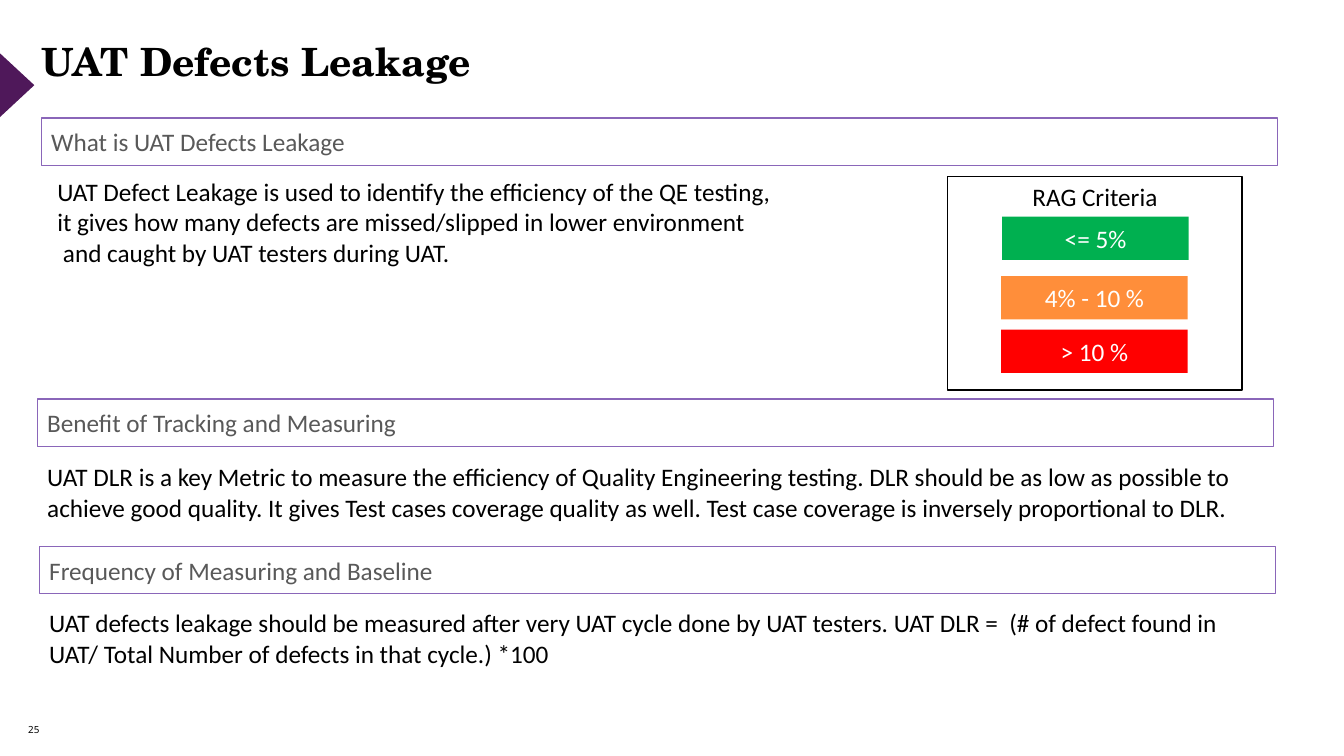
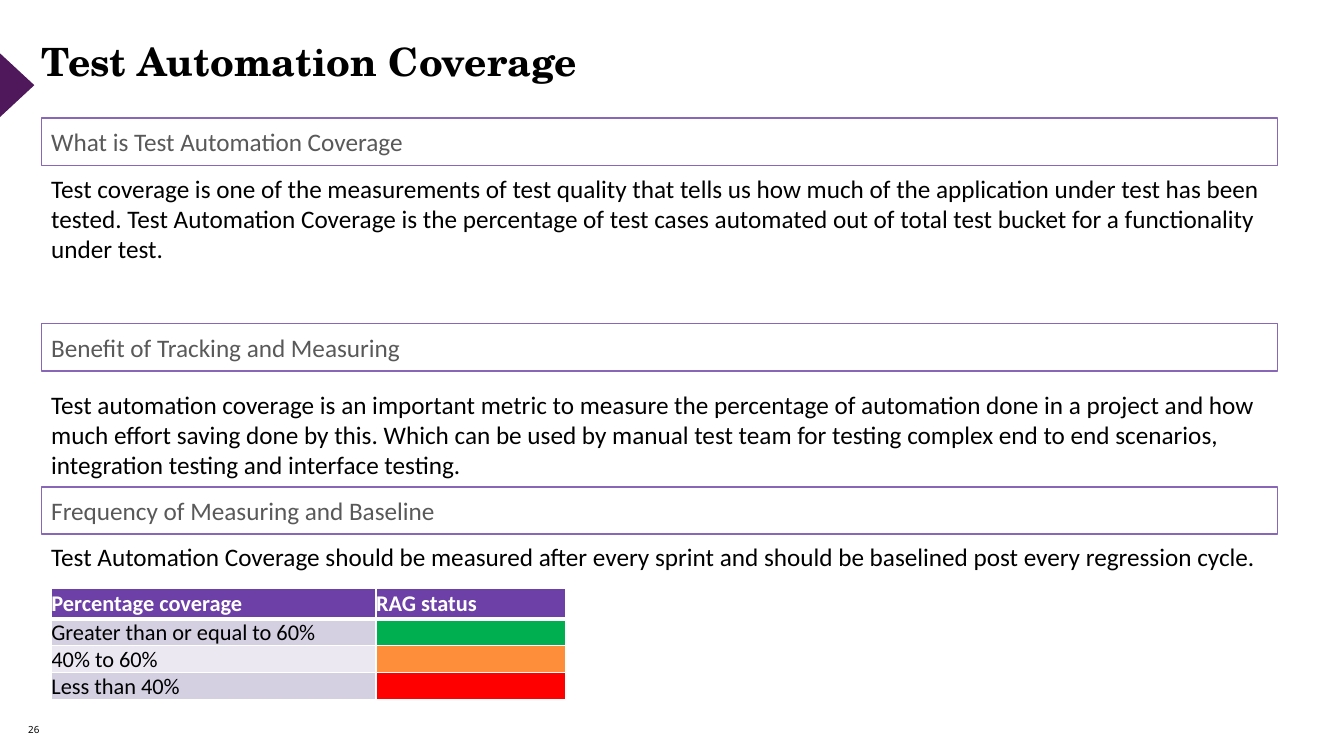
from dataclasses import dataclass

from lxml.etree import SubElement
from pptx import Presentation
from pptx.dml.color import RGBColor
from pptx.enum.shapes import MSO_SHAPE
from pptx.enum.text import MSO_ANCHOR, PP_ALIGN
from pptx.oxml.ns import qn
from pptx.util import Inches, Pt


@dataclass(frozen=True)
class Theme:
    black: str = "000000"
    white: str = "FFFFFF"
    marker: str = "4F185A"
    heading: str = "595959"
    outline: str = "8A66B9"
    table_header: str = "6D40A7"
    bands: tuple = ("D4CFE1", "EBE8F1")
    rag: tuple = ("00B050", "FF8E3A", "FF0000")
    title_font: str = "TeX Gyre Schola"
    body_font: str = "Calibri"
    number_font: str = "Noto Sans"
    title_size: float = 27.8
    title_gap_size: float = 29.6
    body_size: float = 18
    table_size: float = 16
    number_size: float = 7


class Deck:
    def __init__(self, theme):
        self.theme = theme
        self.prs = Presentation()
        self.prs.slide_width, self.prs.slide_height = Inches(13.33), Inches(7.5)
        self.slide = None

    def start_slide(self, title, number):
        theme = self.theme
        self.slide = self.prs.slides.add_slide(self.prs.slide_layouts[6])
        marker = self.shape((-0.16, 0.67, 0.65, 0.35), theme.marker,
                            kind=MSO_SHAPE.ISOSCELES_TRIANGLE)
        marker.rotation = 90
        footer = self.text_frame((0.28, 7.04, 0.45, 0.4), margin=0)
        footer.vertical_anchor = MSO_ANCHOR.MIDDLE
        self.add_text(footer.paragraphs[0], str(number),
                      size=theme.number_size, name=theme.number_font)
        self.title(title)

    def title(self, title):
        """Bold words joined by slightly larger regular spaces."""
        theme = self.theme
        frame = self.text_frame((0.41, 0.4, 10.78, 0.47), margin=0, wrap=False)
        line = frame.paragraphs[0]
        line.line_spacing = 0.9
        for index, word in enumerate(title.split()):
            if index:
                self.add_text(line, " ", size=theme.title_gap_size, name=theme.title_font)
            self.add_text(line, word, size=theme.title_size, name=theme.title_font, bold=True)

    def add_text(self, paragraph, text, color=None, **font_format):
        run = paragraph.add_run()
        run.text = text
        defaults = {"name": self.theme.body_font, "size": self.theme.body_size, "bold": False}
        for attribute, value in (defaults | font_format).items():
            setattr(run.font, attribute, Pt(value) if attribute == "size" else value)
        run.font.color.rgb = RGBColor.from_string(color or self.theme.black)

    def text_frame(self, box, margin=None, wrap=True):
        frame = self.slide.shapes.add_textbox(*map(Inches, box)).text_frame
        frame.word_wrap = wrap
        if margin is not None:
            self.set_margins(frame, margin)
        return frame

    def set_margins(self, holder, margin):
        for side in ("left", "top", "right", "bottom"):
            setattr(holder, f"margin_{side}", Inches(margin))

    def shape(self, box, fill=None, line=None, kind=MSO_SHAPE.RECTANGLE):
        shape = self.slide.shapes.add_shape(kind, *map(Inches, box))
        shape.shadow.inherit = False
        if fill:
            shape.fill.solid()
            shape.fill.fore_color.rgb = RGBColor.from_string(fill)
        else:
            shape.fill.background()
        if line:
            shape.line.color.rgb = RGBColor.from_string(line)
            shape.line.width = Pt(1)
        else:
            shape.line.fill.background()
        return shape

    def label(self, shape, text, color, align=PP_ALIGN.CENTER, anchor=MSO_ANCHOR.MIDDLE):
        shape.text_frame.vertical_anchor = anchor
        paragraph = shape.text_frame.paragraphs[0]
        paragraph.alignment = align
        self.add_text(paragraph, text, color)

    def heading(self, left, top, text):
        bar = self.shape((left, top, 12.26, 0.47), self.theme.white, self.theme.outline)
        self.label(bar, text, self.theme.heading, PP_ALIGN.LEFT)

    def body(self, left, top, height, *lines):
        frame = self.text_frame((left, top, 12.26, height))
        for index, line in enumerate(lines):
            paragraph = frame.add_paragraph() if index else frame.paragraphs[0]
            self.add_text(paragraph, line)

    def rag_legend(self, title, entries):
        """entries: (left, top, text) for green, amber and red."""
        panel = self.shape((9.4, 1.75, 2.92, 2.12), line=self.theme.black)
        self.label(panel, title, self.theme.black, anchor=MSO_ANCHOR.TOP)
        for (left, top, text), color in zip(entries, self.theme.rag):
            self.label(self.shape((left, top, 1.85, 0.43), color), text, self.theme.white)

    def rag_table(self, headers, ranges):
        theme = self.theme
        grid = self.slide.shapes.add_table(
            len(ranges) + 1, len(headers), *map(Inches, (0.51, 5.84, 5.1, 1.05))).table
        for column, width in zip(grid.columns, (3.22, 1.88)):
            column.width = Inches(width)
        for index, row in enumerate(grid.rows):
            row.height = Inches(0.25 if index else 0.3)
        for cell, text in zip(grid.rows[0].cells, headers):
            self.cell(cell, text, theme.table_header, theme.white, bold=True, bottom=3)
        for index, text in enumerate(ranges):
            range_cell, status_cell = grid.rows[index + 1].cells
            top = 1 if index else 3
            self.cell(range_cell, text, theme.bands[index % 2], theme.black, top=top)
            self.cell(status_cell, "", theme.rag[index], theme.black, top=top)

    def cell(self, cell, text, fill, color, bold=False, top=1, bottom=1):
        self.set_margins(cell, 0)
        cell.vertical_anchor = MSO_ANCHOR.MIDDLE
        paragraph = cell.text_frame.paragraphs[0]
        size = self.theme.table_size
        if text:
            self.add_text(paragraph, text, color, size=size, bold=bold)
        else:
            SubElement(paragraph._p, qn("a:endParaRPr"), sz=str(size * 100))
        properties = cell._tc.get_or_add_tcPr()
        for side, width in {"L": 1, "R": 1, "T": top, "B": bottom}.items():
            border = SubElement(properties, qn(f"a:ln{side}"), w=str(Pt(width)))
            solid = SubElement(border, qn("a:solidFill"))
            SubElement(solid, qn("a:srgbClr"), val=self.theme.white)
        cell.fill.solid()
        cell.fill.fore_color.rgb = RGBColor.from_string(fill)


BENEFIT = "Benefit of Tracking and Measuring"
FREQUENCY = "Frequency of Measuring and Baseline"


def add_defects_leakage(deck):
    deck.start_slide("UAT Defects Leakage", 25)
    deck.heading(0.41, 1.17, "What is UAT Defects Leakage")
    deck.heading(0.37, 3.96, BENEFIT)
    deck.heading(0.39, 5.42, FREQUENCY)
    deck.body(0.47, 1.7, 2.22,
              "UAT Defect Leakage is used to identify the efficiency of the QE testing,",
              "it gives how many defects are missed/slipped in lower environment",
              " and caught by UAT testers during UAT.")
    deck.body(0.37, 4.53, 1.01,
              "UAT DLR is a key Metric to measure the efficiency of Quality Engineering "
              "testing. DLR should be as low as possible to achieve good quality. It gives "
              "Test cases coverage quality as well. Test case coverage is inversely "
              "proportional to DLR.")
    deck.body(0.39, 5.98, 1.01,
              "UAT defects leakage should be measured after very UAT cycle done by UAT "
              "testers. UAT DLR =  (# of defect found in UAT/ Total Number of defects in "
              "that cycle.) *100")
    deck.rag_legend("RAG Criteria", [(9.94, 2.15, "<= 5%"),
                                     (9.93, 2.74, "4% - 10 %"),
                                     (9.93, 3.27, "> 10 %")])


def add_automation_coverage(deck):
    deck.start_slide("Test Automation Coverage", 26)
    for top, text in ((1.17, "What is Test Automation Coverage"),
                      (3.21, BENEFIT), (4.83, FREQUENCY)):
        deck.heading(0.41, top, text)
    deck.body(0.41, 1.67, 1.01,
              "Test coverage is one of the measurements of test quality that tells us how "
              "much of the application under test has been tested. Test Automation Coverage "
              "is the percentage of test cases automated out of total test bucket for a "
              "functionality under test.")
    deck.body(0.41, 3.81, 1.01,
              "Test automation coverage is an important metric to measure the percentage of "
              "automation done in a project and how much effort saving done by this. Which "
              "can be used by manual test team for testing complex end to end scenarios, "
              "integration testing and interface testing.")
    deck.body(0.41, 5.32, 0.4,
              "Test Automation Coverage should be measured after every sprint and should be "
              "baselined post every regression cycle.")
    deck.rag_table(("Percentage coverage", "RAG status"),
                   ("Greater than or equal to 60%", "40% to 60%", "Less than 40%"))


def main():
    deck = Deck(Theme())
    add_defects_leakage(deck)
    add_automation_coverage(deck)
    deck.prs.save("out.pptx")


if __name__ == "__main__":
    main()
